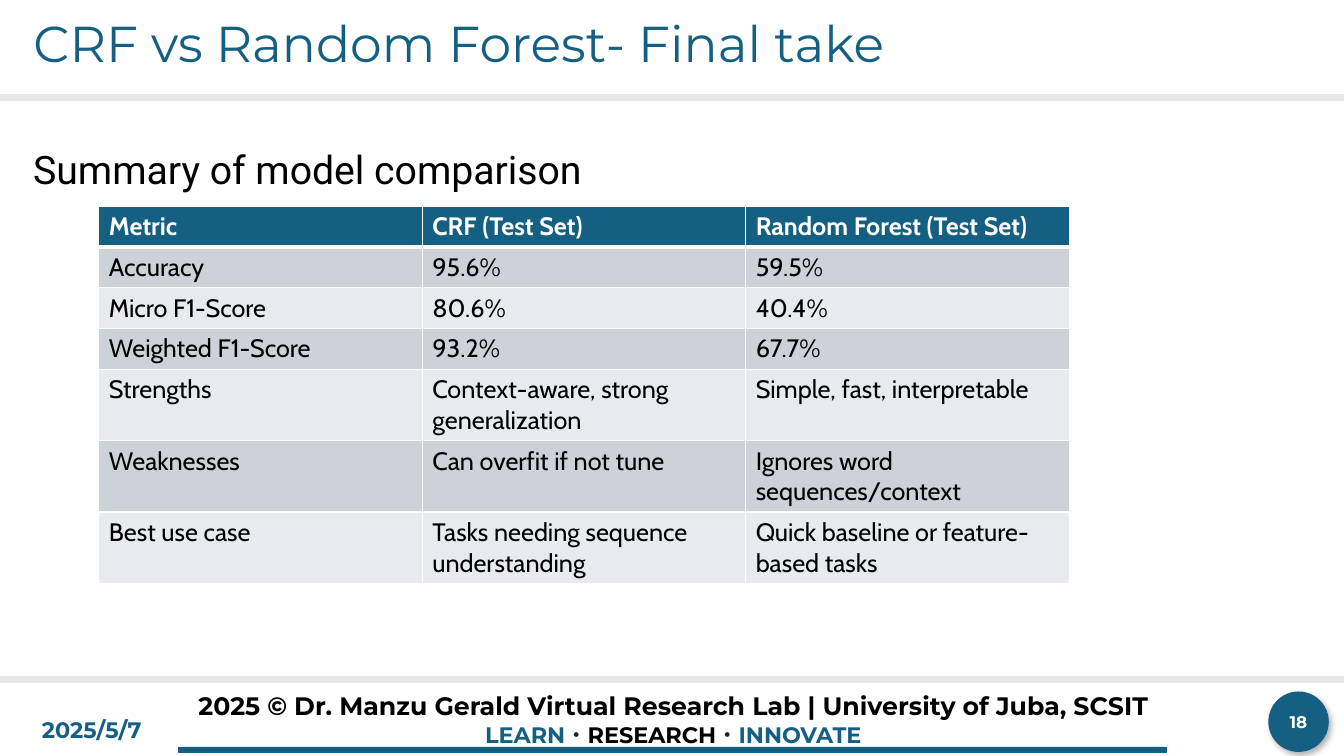
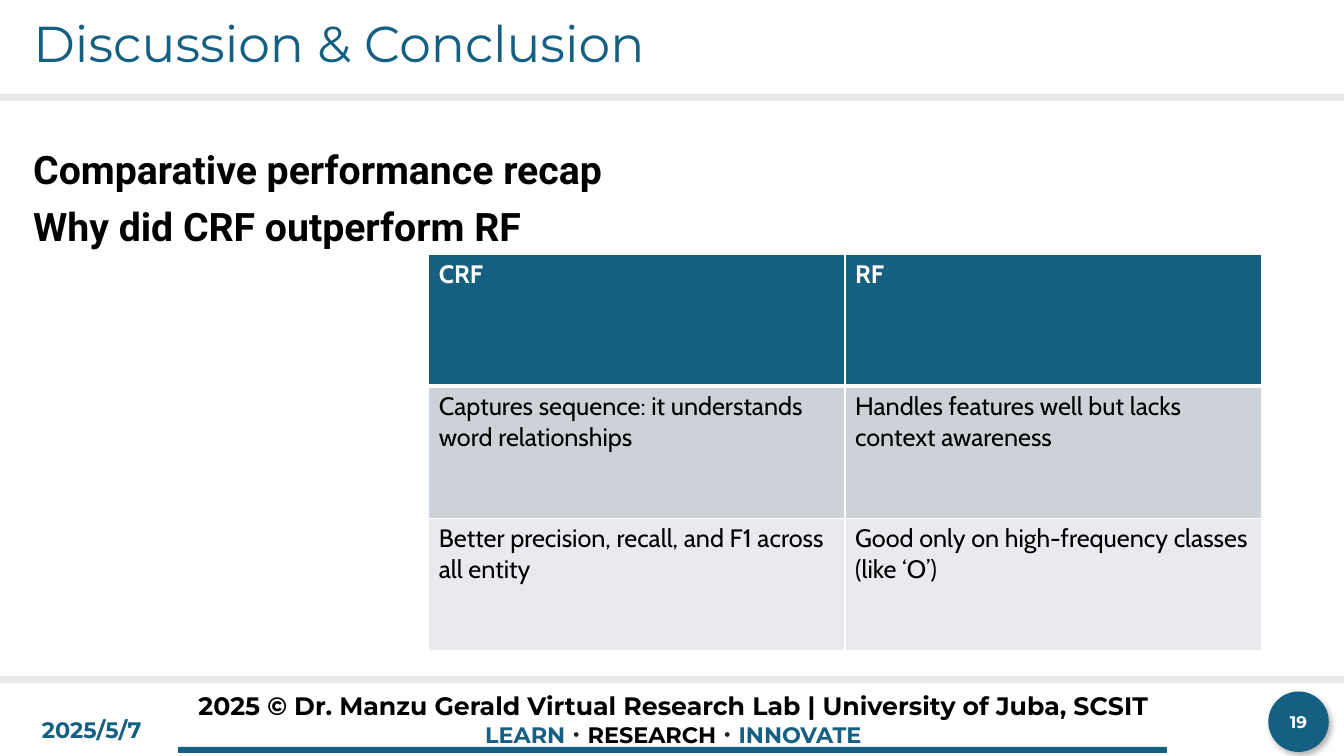
import lxml.etree
import pptx
import pptx.dml.color
import pptx.enum.shapes
import pptx.enum.text
import pptx.oxml
import pptx.oxml.ns
import pptx.util

RGB = pptx.dml.color.RGBColor
TEAL = RGB(0x15, 0x60, 0x82)
GREY = RGB(0xE8, 0xE8, 0xE8)
INK = RGB(0x20, 0x21, 0x24)
BLACK = RGB(0, 0, 0)
WHITE = RGB(0xFF, 0xFF, 0xFF)
BANDS = (RGB(0xCC, 0xD2, 0xD8), RGB(0xE8, 0xEA, 0xED))

WIDE, HIGH = 13.33, 7.5
COL, ROW = WIDE / 100, HIGH / 100
HEAD = (0, 0, 100, 13.2)
BODY = (1.73, 19.33, 96.85, 68.93)
FOOT = (0, 89.6, 100, 10.4)

ALIGN = pptx.enum.text.PP_ALIGN
ANCHOR = pptx.enum.text.MSO_ANCHOR
KIND = pptx.enum.shapes.MSO_SHAPE

TITLE = {"name": "Montserrat", "size": 36, "bold": False, "color": TEAL}
LEAD = {"name": "Roboto", "size": 28, "bold": False, "color": BLACK}
CELL = {"name": "Cabin", "size": 18, "bold": False, "color": BLACK}
TOP = {**CELL, "bold": True, "color": WHITE}
MARK = {"name": "Montserrat", "size": 16, "bold": True, "color": TEAL}
DOT = {**MARK, "bold": False, "color": INK}
WORD = {**MARK, "color": BLACK}
CREDIT = {**WORD, "size": 18}
BADGE = {**MARK, "size": 12, "color": WHITE}

DATE = "2025/5/7"
OWNER = "2025 © Dr. Manzu Gerald Virtual Research Lab | University of Juba, SCSIT"
MOTTO = [("LEARN", MARK), ("・", DOT), ("RESEARCH", WORD), ("・", DOT), ("INNOVATE", MARK)]

SLIDES = [
    {
        "number": 18,
        "title": "CRF vs Random Forest- Final take",
        "lead": ["Summary of model comparison"],
        "bold": False,
        "area": (5.62, 7.92, 72.2),
        "rows": [5.4] * 4 + [9.45] * 3,
        "cells": [
            ["Metric", "CRF (Test Set)", "Random Forest (Test Set)"],
            ["Accuracy", "95.6%", "59.5%"],
            ["Micro F1-Score", "80.6%", "40.4%"],
            ["Weighted F1-Score", "93.2%", "67.7%"],
            ["Strengths", "Context-aware, strong generalization", "Simple, fast, interpretable"],
            ["Weaknesses", "Can overfit if not tune", "Ignores word sequences/context"],
            ["Best use case", "Tasks needing sequence understanding",
             "Quick baseline or feature-based tasks"],
        ],
    },
    {
        "number": 19,
        "title": "Discussion & Conclusion",
        "lead": ["Comparative performance recap", "Why did CRF outperform RF"],
        "bold": True,
        "area": (30.17, 14.27, 61.95),
        "rows": [17.47] * 3,
        "cells": [
            ["CRF", "RF"],
            ["Captures sequence: it understands word relationships",
             "Handles features well but lacks context awareness"],
            ["Better precision, recall, and F1 across all entity",
             "Good only on high-frequency classes (like ‘O’)"],
        ],
    },
]


def span(box, left, top, width, height):
    """Turn grid units within a box into slide lengths."""
    units = ((box[0] + left) * COL, (box[1] + top) * ROW, width * COL, height * ROW)
    return [pptx.util.Inches(unit) for unit in units]


def style(font, form):
    """Apply a dict of format values to a font."""
    for key, value in form.items():
        if key == "color":
            font.color.rgb = value
        else:
            setattr(font, key, pptx.util.Pt(value) if key == "size" else value)


def write(para, runs, **form):
    """Add styled runs to a paragraph and format it."""
    for text, look in runs:
        run = para.add_run()
        run.text = text
        style(run.font, look)
        east = lxml.etree.SubElement(run.font._element, pptx.oxml.ns.qn("a:ea"))
        east.set("typeface", look["name"])
    for key, value in form.items():
        setattr(para, key, value)


def label(slide, place, runs):
    """Add a centred line of text."""
    frame = slide.shapes.add_textbox(*place).text_frame
    frame.word_wrap = True
    frame.vertical_anchor = ANCHOR.MIDDLE
    write(frame.paragraphs[0], runs, alignment=ALIGN.CENTER)


def block(slide, place, fill, edge=0, kind=KIND.RECTANGLE):
    """Add a filled shape with an outline of its own colour."""
    shape = slide.shapes.add_shape(kind, *place)
    shape.shadow.inherit = False
    shape.fill.solid()
    shape.fill.fore_color.rgb = fill
    if edge:
        shape.line.color.rgb = fill
        shape.line.width = pptx.util.Pt(edge)
    else:
        shape.line.fill.background()
    return shape


def shade(shape):
    """Give a shape a soft outer shadow."""
    effects = shape._element.spPr.find(pptx.oxml.ns.qn("a:effectLst"))
    effects.append(pptx.oxml.parse_xml(
        f'<a:outerShdw {pptx.oxml.ns.nsdecls("a")} blurRad="57150" dist="33020" '
        'dir="3180000" algn="ctr" rotWithShape="0"><a:srgbClr val="000000">'
        '<a:alpha val="30000"/></a:srgbClr></a:outerShdw>'))


def header(slide, box, title):
    """Place the title above its rule."""
    block(slide, span(box, 0, 12.53, box[2], 0.67), GREY, 1.5)
    shape = slide.shapes.title
    place = span(box, 1.73, 1.07, 88.5, 10.13)
    for key, value in zip(("left", "top", "width", "height"), place):
        setattr(shape, key, value)
    frame = shape.text_frame
    frame.word_wrap = True
    frame.auto_size = pptx.enum.text.MSO_AUTO_SIZE.NONE
    frame.vertical_anchor = ANCHOR.MIDDLE
    write(frame.paragraphs[0], [(title, TITLE)], alignment=ALIGN.LEFT, line_spacing=0.9)


def footer(slide, box, number):
    """Place the rule, badge, date, credit and motto."""
    block(slide, span(box, 0, 0, box[2], 0.67), GREY, 1.5)
    block(slide, span(box, 13.28, 9.2, 73.5, 0.67), TEAL, 0.25)
    badge = block(slide, span(box, 94.37, 1.87, 4.5, 8), TEAL, kind=KIND.OVAL)
    shade(badge)
    frame = badge.text_frame
    frame.margin_left = frame.margin_right = 0
    frame.vertical_anchor = ANCHOR.MIDDLE
    write(frame.paragraphs[0], [(str(number), BADGE)], alignment=ALIGN.CENTER)
    label(slide, span(box, 12.22, 5.07, 75.77, 5.07), MOTTO)
    label(slide, span(box, 1.35, 4.4, 10.95, 5.07), [(DATE, MARK)])
    label(slide, span(box, 12.22, 1.2, 75.77, 5.07), [(OWNER, CREDIT)])


def leads(slide, box, lines, bold):
    """Place the lead lines at the top of the body."""
    frame = slide.shapes.add_textbox(*span(box, 0, 0, box[2], box[3])).text_frame
    frame.word_wrap = True
    for index, line in enumerate(lines):
        para = frame.add_paragraph() if index else frame.paragraphs[0]
        write(para, [(line, {**LEAD, "bold": bold})], line_spacing=0.9,
              space_before=pptx.util.Pt(10 if index else 0))


def border(cell, sides):
    """Draw white cell borders of the given widths."""
    props = cell._tc.get_or_add_tcPr()
    for side, width in sides.items():
        props.append(pptx.oxml.parse_xml(
            f'<a:ln{side} {pptx.oxml.ns.nsdecls("a")} w="{pptx.util.Pt(width)}">'
            f'<a:solidFill><a:srgbClr val="{WHITE}"/></a:solidFill></a:ln{side}>'))


def grid(slide, box, area, heights, cells):
    """Place a table with a dark head and banded rows."""
    left, top, width = area
    place = span(box, left, top, width, sum(heights))
    table = slide.shapes.add_table(len(cells), len(cells[0]), *place).table
    for column in table.columns:
        column.width = pptx.util.Inches(width * COL / len(cells[0]))
    for y, (line, height) in enumerate(zip(cells, heights)):
        table.rows[y].height = pptx.util.Inches(height * ROW)
        for x, text in enumerate(line):
            cell = table.cell(y, x)
            border(cell, {"L": 1, "R": 1, "T": 3 if y == 1 else 1, "B": 1 if y else 3})
            cell.fill.solid()
            cell.fill.fore_color.rgb = BANDS[(y - 1) % 2] if y else TEAL
            write(cell.text_frame.paragraphs[0], [(text, CELL if y else TOP)])


def main():
    """Build and save the slides."""
    deck = pptx.Presentation()
    deck.slide_width = pptx.util.Inches(WIDE)
    deck.slide_height = pptx.util.Inches(HIGH)
    for page in SLIDES:
        slide = deck.slides.add_slide(deck.slide_layouts[5])
        header(slide, HEAD, page["title"])
        footer(slide, FOOT, page["number"])
        leads(slide, BODY, page["lead"], page["bold"])
        grid(slide, BODY, page["area"], page["rows"], page["cells"])
    deck.save("out.pptx")


if __name__ == "__main__":
    main()
